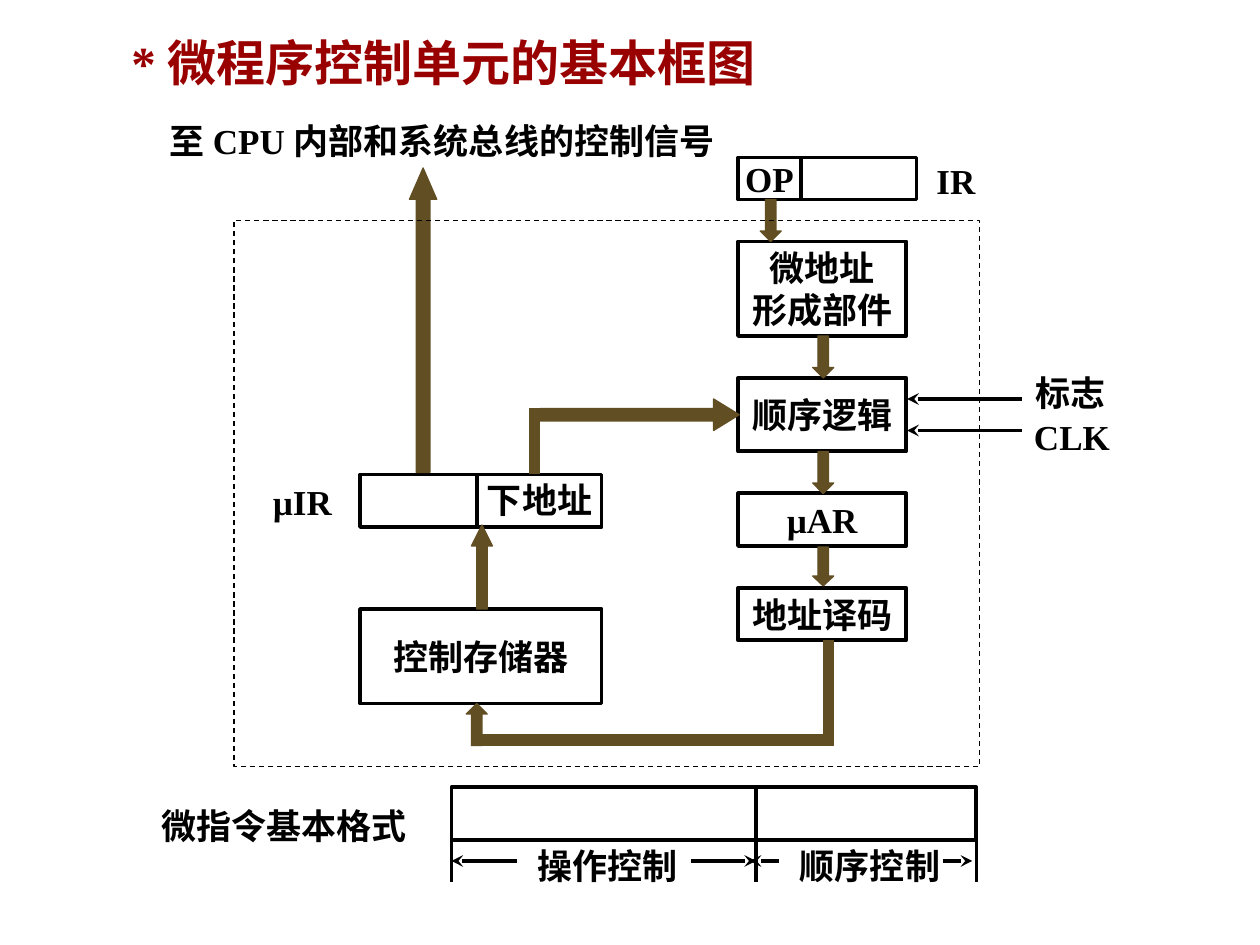
import pptx
import pptx.util
import pptx.dml.color
import pptx.enum.dml
import pptx.enum.shapes
import pptx.enum.text
import pptx.oxml

UNIT = 1 / 12
INK, BROWN, RED = "000000", "614F23", "990000"
FONT = "Times New Roman"
KIND = pptx.enum.shapes.MSO_SHAPE
ALIGN = pptx.enum.text.PP_ALIGN
MID = pptx.enum.text.MSO_ANCHOR.MIDDLE
TOP = pptx.enum.text.MSO_ANCHOR.TOP

TITLE = ("* 微程序控制单元的基本框图", 11.3, 2.5, 66, 6.8)

BOXES = [
    ("微地址\n形成部件", 70.3, 23, 16, 9),
    ("顺序逻辑", 70.3, 36, 16, 7),
    ("µAR", 70.3, 47, 16, 5),
    ("地址译码", 70.3, 56, 16, 5),
    ("控制存储器", 34.3, 58, 23, 9),
    ("", 34.3, 45.2, 23, 5),
    ("OP", 70.3, 15, 6, 4),
    ("", 76.3, 15, 11, 4),
    ("", 43, 75, 29, 5),
    ("", 72, 75, 21, 5),
]

FLOWS = [
    (KIND.DOWN_ARROW, 72.4, 19, 2, 4, (0.5, 0.5)),
    (KIND.DOWN_ARROW, 77.4, 32, 2, 4, (0.5, 0.5)),
    (KIND.DOWN_ARROW, 77.4, 43, 2, 4, (0.5, 0.5)),
    (KIND.DOWN_ARROW, 77.4, 52.1, 2, 3.7, (0.5, 0.47)),
    (KIND.UP_ARROW, 44.9, 50, 2, 8, (0.5, 1)),
    (KIND.RIGHT_ARROW, 51.4, 38, 19, 3, (0.39, 0.81)),
    (KIND.RECTANGLE, 50.4, 38.9, 1, 6.2, ()),
    (KIND.RECTANGLE, 78.4, 61, 1, 10, ()),
    (KIND.UP_ARROW, 44.4, 67, 2, 4, (0.5, 0.5)),
    (KIND.RECTANGLE, 45.4, 70, 33, 1, ()),
    (KIND.UP_ARROW, 39, 16, 2.6, 29, (0.5, 1.15)),
]

FRAME = (22.3, 21, 71, 52)

LABELS = [
    ("至 CPU 内部和系统总线的控制信号", 15, 10.8, 60),
    ("IR", 88, 14.6, 10),
    ("标志", 97.4, 34.8, 9),
    ("CLK", 97.3, 39, 9.6),
    ("下地址", 45.2, 45, 12.4),
    ("µIR", 24.8, 45.2, 8),
    ("微指令基本格式", 14.2, 76, 25.8),
    ("操作控制", 50, 79.8, 15.7),
    ("顺序控制", 75, 79.8, 15.7),
]

RULES = [(45.4, 45.2, 45.4, 50.2)] + [(c, 79, c, 84) for c in (43, 72, 93)]

ARROWS = [
    (97.3, 38, 86.4, 38),
    (97.3, 41, 86.4, 41),
    (65.8, 82, 72, 82),
    (49.2, 82, 43, 82),
    (89.8, 82, 92.6, 82),
    (74.2, 82, 71.4, 82),
]


def grid(*cells):
    return [pptx.util.Inches(n * UNIT) for n in cells]


def color(code):
    return pptx.dml.color.RGBColor.from_string(code)


def write(shape, text, size=20, code=INK, align=ALIGN.LEFT, anchor=TOP):
    frame = shape.text_frame
    frame.text = text
    frame.word_wrap = False
    frame.auto_size = pptx.enum.text.MSO_AUTO_SIZE.NONE
    frame.vertical_anchor = anchor
    for para in frame.paragraphs:
        para.alignment = align
        for run in para.runs:
            run.font.name = FONT
            run.font.size = pptx.util.Pt(size)
            run.font.bold = True
            run.font.color.rgb = color(code)


def draw(slide, kind, place, code, width, fill=None):
    shape = slide.shapes.add_shape(kind, *grid(*place))
    shape.shadow.inherit = False
    if fill:
        shape.fill.solid()
        shape.fill.fore_color.rgb = color(fill)
    else:
        shape.fill.background()
    shape.line.color.rgb = color(code)
    shape.line.width = pptx.util.Pt(width)
    return shape


def link(slide, ends, tip=False):
    line = slide.shapes.add_connector(
        pptx.enum.shapes.MSO_CONNECTOR.STRAIGHT, *grid(*ends))
    line.line.color.rgb = color(INK)
    line.line.width = pptx.util.Pt(2.25)
    space = pptx.oxml.ns.nsdecls("a")
    if tip:
        line.line._get_or_add_ln().append(
            pptx.oxml.parse_xml(f'<a:tailEnd {space} type="stealth"/>'))
    line._element.spPr.append(pptx.oxml.parse_xml(f"<a:effectLst {space}/>"))


def main():
    deck = pptx.Presentation()
    deck.slide_width = pptx.util.Inches(10)
    deck.slide_height = pptx.util.Inches(7.5)
    slide = deck.slides.add_slide(deck.slide_layouts[5])

    text, *place = TITLE
    head = slide.shapes.title
    head.left, head.top, head.width, head.height = grid(*place)
    write(head, text, 28, RED)

    for text, *place in BOXES:
        box = draw(slide, KIND.RECTANGLE, place, INK, 2.25)
        if text:
            write(box, text, align=ALIGN.CENTER, anchor=MID)

    for kind, *place, shape in FLOWS:
        flow = draw(slide, kind, place, BROWN, 0.75, BROWN)
        for i, value in enumerate(shape):
            flow.adjustments[i] = value

    frame = draw(slide, KIND.RECTANGLE, FRAME, INK, 0.75)
    frame.line.dash_style = pptx.enum.dml.MSO_LINE.DASH

    for ends in RULES:
        link(slide, ends)
    for ends in ARROWS:
        link(slide, ends, True)

    for text, *place in LABELS:
        write(slide.shapes.add_textbox(*grid(*place, 5.3)), text)

    deck.save("out.pptx")


if __name__ == "__main__":
    main()
